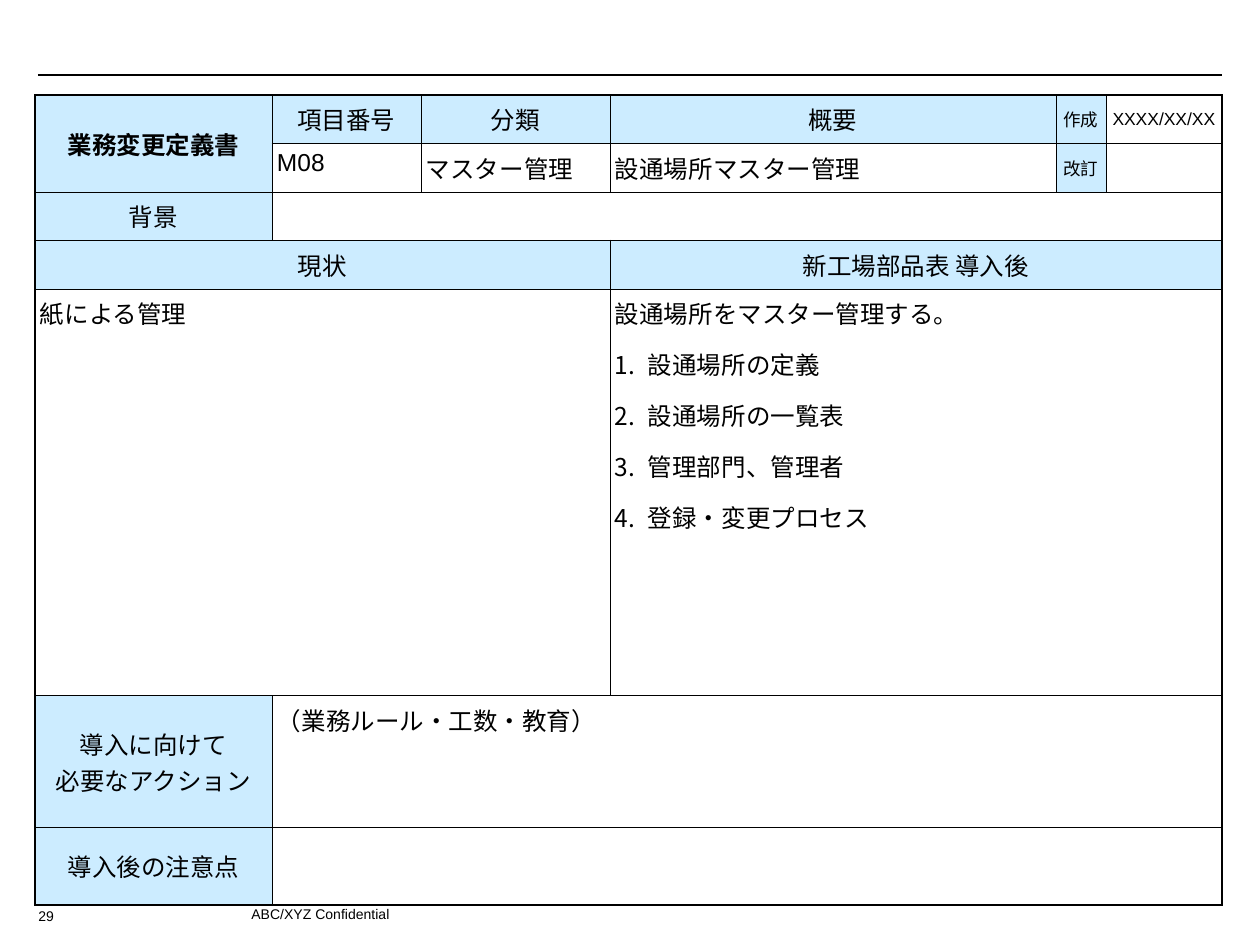
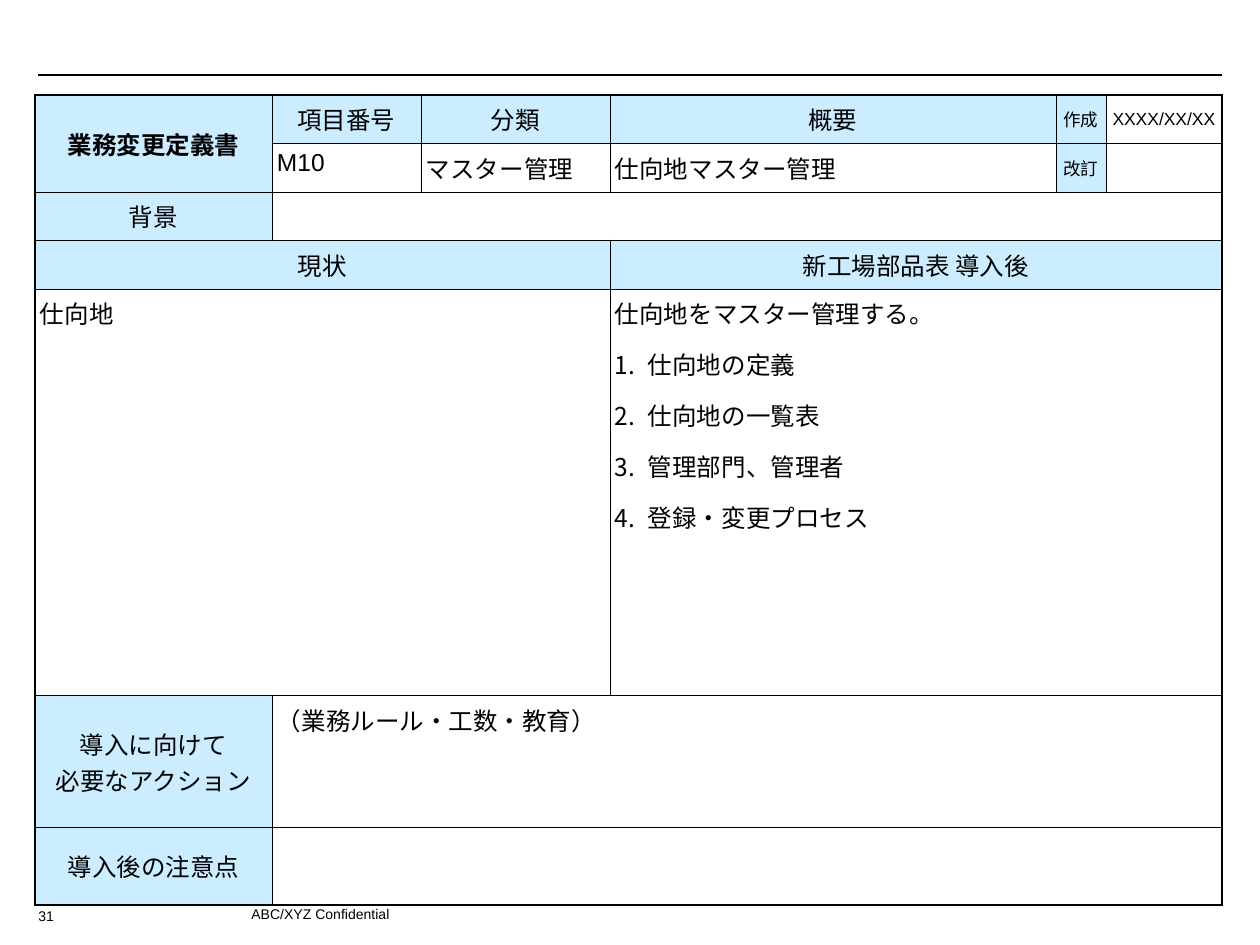
from dataclasses import dataclass

from lxml import etree
from pptx import Presentation
from pptx.dml.color import RGBColor
from pptx.enum.shapes import MSO_CONNECTOR
from pptx.enum.text import MSO_ANCHOR as ANCHOR, PP_ALIGN as ALIGN
from pptx.oxml.ns import qn
from pptx.slide import Slide
from pptx.table import Table, _Cell as TableCell
from pptx.text.text import _Paragraph as Paragraph
from pptx.util import Emu, Pt

# Shared look
BLACK = RGBColor(0x00, 0x00, 0x00)
LABEL_BLUE = RGBColor(0xCC, 0xEC, 0xFF)
ARIAL = "Arial"
NOTO = "Noto Sans CJK JP"
FOOTER = "ABC/XYZ Confidential"
THIN, THICK = Pt(0.45), Pt(1.08)

# Form grid
COLS = (237, 149, 189, 446, 50, 116)
ROWS = (48, 49, 48, 49, 407, 132, 77)
NUMBER_INDENT = 33


def px(n: int) -> Emu:
    """Lengths are given at 126 px to the inch."""
    return Emu(round(n * 914400 / 126))


@dataclass(frozen=True)
class FormCell:
    row: int
    col: int
    lines: tuple[str, ...] = ()
    rows: int = 1
    cols: int = 1
    label: bool = False
    centered: bool = False
    middle: bool = False
    size: int = 14
    bold: bool = False
    font: str = ARIAL
    inset: int = 5
    space: float = 8.8


@dataclass(frozen=True)
class Definition:
    page: int
    number: str
    subject: str
    current: str


DEFINITIONS = (
    Definition(29, "M08", "設通場所", "紙による管理"),
    Definition(31, "M10", "仕向地", "仕向地"),
)


def label(row: int, col: int, *lines: str, **options) -> FormCell:
    return FormCell(row, col, lines, label=True, centered=True, middle=True, **options)


def form_cells(d: Definition) -> list[FormCell]:
    steps = (f"{d.subject}の定義", f"{d.subject}の一覧表",
             "管理部門、管理者", "登録・変更プロセス")
    after = (f"{d.subject}をマスター管理する。",
             *(f"{i}.\t{step}" for i, step in enumerate(steps, 1)))
    return [
        # Heading rows
        label(0, 0, "業務変更定義書", rows=2, bold=True),
        label(0, 1, "項目番号"),
        label(0, 2, "分類"),
        label(0, 3, "概要"),
        label(0, 4, "作成", size=10, inset=3),
        FormCell(0, 5, ("XXXX/XX/XX",), centered=True, middle=True, size=10),
        FormCell(1, 1, (d.number,)),
        FormCell(1, 2, ("マスター管理",), middle=True),
        FormCell(1, 3, (f"{d.subject}マスター管理",), middle=True),
        label(1, 4, "改訂", size=10, inset=3),
        FormCell(1, 5),
        # Background
        label(2, 0, "背景"),
        FormCell(2, 1, cols=5),
        # Before and after
        label(3, 0, "現状", cols=3),
        label(3, 3, "新工場部品表 導入後", cols=3),
        FormCell(4, 0, (d.current,), cols=3),
        FormCell(4, 3, after, cols=3, font=NOTO),
        # Actions and cautions
        label(5, 0, "導入に向けて", "必要なアクション", space=0),
        FormCell(5, 1, ("（業務ルール・工数・教育）",), cols=5),
        label(6, 0, "導入後の注意点"),
        FormCell(6, 1, cols=5),
    ]


def add_run(p: Paragraph, text: str, size: int, font: str = ARIAL,
            bold: bool = False) -> None:
    r = p.add_run()
    r.text = text
    r.font.size = Pt(size)
    r.font.bold = bold
    r.font.name = font
    r.font.color.rgb = BLACK
    ea = etree.SubElement(r._r.get_or_add_rPr(), qn("a:ea"))
    ea.set("typeface", NOTO)


def set_borders(cell: TableCell, widths: dict[str, int]) -> None:
    tc_pr = cell._tc.get_or_add_tcPr()
    for i, (side, width) in enumerate(widths.items()):
        ln = etree.Element(qn(f"a:ln{side}"), w=str(width))
        fill = etree.SubElement(ln, qn("a:solidFill"))
        etree.SubElement(fill, qn("a:srgbClr"), val=str(BLACK))
        tc_pr.insert(i, ln)


def draw_borders(table: Table, c: FormCell) -> None:
    """Thick on the edge of the form, thin between cells."""
    last_row, last_col = c.row + c.rows - 1, c.col + c.cols - 1
    widths = {
        "L": THICK if c.col == 0 else THIN,
        "R": THICK if last_col == len(COLS) - 1 else THIN,
        "T": THICK if c.row == 0 else THIN,
        "B": THICK if last_row == len(ROWS) - 1 else THIN,
    }
    for row in range(c.row, last_row + 1):
        for col in range(c.col, last_col + 1):
            origin = (row, col) == (c.row, c.col)
            on_edge = {"L": col == c.col, "R": col == last_col,
                       "T": row == c.row, "B": row == last_row}
            set_borders(table.cell(row, col),
                        {s: w for s, w in widths.items() if origin or on_edge[s]})


def draw_cell(table: Table, c: FormCell) -> None:
    cell = table.cell(c.row, c.col)
    if c.rows * c.cols > 1:
        cell.merge(table.cell(c.row + c.rows - 1, c.col + c.cols - 1))
    if c.label:
        cell.fill.solid()
        cell.fill.fore_color.rgb = LABEL_BLUE
    else:
        cell.fill.background()
    cell.margin_left = cell.margin_right = px(c.inset)
    cell.margin_top = cell.margin_bottom = px(6)
    cell.vertical_anchor = ANCHOR.MIDDLE if c.middle else ANCHOR.TOP
    draw_borders(table, c)

    tf = cell.text_frame
    if not c.lines:
        end = etree.SubElement(tf.paragraphs[0]._p, qn("a:endParaRPr"))
        end.set("sz", str(c.size * 100))
    for i, line in enumerate(c.lines):
        p = tf.add_paragraph() if i else tf.paragraphs[0]
        p.alignment = ALIGN.CENTER if c.centered else ALIGN.LEFT
        if i:
            p.space_before = Pt(c.space)
        if "\t" in line:
            p_pr = p._p.get_or_add_pPr()
            p_pr.set("marL", str(px(NUMBER_INDENT)))
            p_pr.set("indent", str(-px(NUMBER_INDENT)))
        add_run(p, line, c.size, c.font, c.bold)


def draw_form(slide: Slide, d: Definition) -> None:
    frame = slide.shapes.add_table(len(ROWS), len(COLS), px(35), px(95),
                                   px(sum(COLS)), px(sum(ROWS)))
    table = frame.table
    table.first_row = table.horz_banding = False
    for column, width in zip(table.columns, COLS):
        column.width = px(width)
    for row, height in zip(table.rows, ROWS):
        row.height = px(height)
    for c in form_cells(d):
        draw_cell(table, c)


def draw_rule(slide: Slide) -> None:
    line = slide.shapes.add_connector(MSO_CONNECTOR.STRAIGHT,
                                      px(38), px(75), px(1222), px(75))
    line.line.color.rgb = BLACK
    line.line.width = Pt(0.75)
    etree.SubElement(line._element.spPr, qn("a:effectLst"))


def draw_footer(slide: Slide, text: str, x: int, y: int, width: int) -> None:
    tf = slide.shapes.add_textbox(px(x), px(y), px(width), px(25)).text_frame
    tf.word_wrap = True
    add_run(tf.paragraphs[0], text, 8)


def main() -> None:
    prs = Presentation()
    prs.slide_width, prs.slide_height = px(1260), px(945)
    blank = prs.slide_layouts[6]
    for d in DEFINITIONS:
        slide = prs.slides.add_slide(blank)
        draw_rule(slide)
        draw_form(slide, d)
        draw_footer(slide, FOOTER, 239, 899, 819)
        draw_footer(slide, str(d.page), 26, 901, 50)
    prs.save("out.pptx")


if __name__ == "__main__":
    main()
